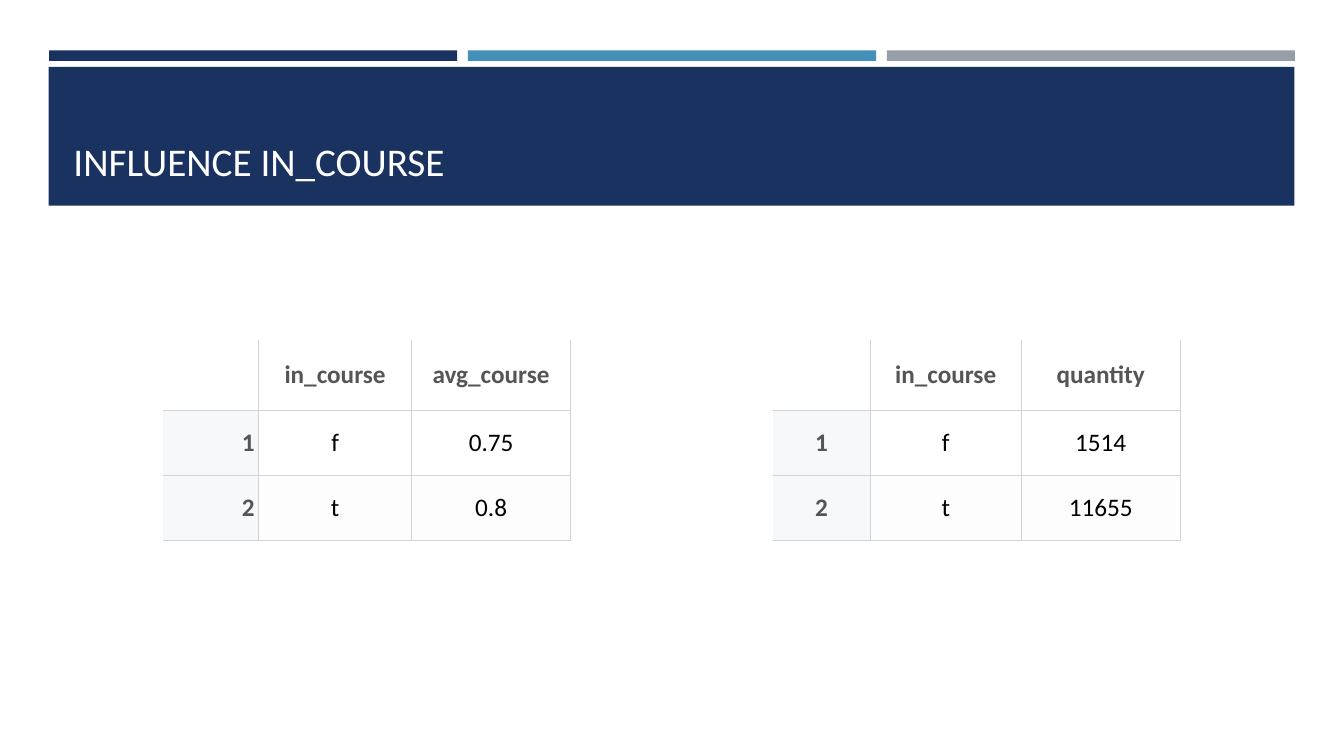
from lxml import etree
from pptx import Presentation
from pptx.dml.color import RGBColor
from pptx.enum import shapes, text
from pptx.oxml.ns import qn
from pptx.util import Pt

NAVY = RGBColor(0x1A, 0x32, 0x60)
BLUE = RGBColor(0x45, 0x90, 0xB8)
GREY = RGBColor(0x96, 0x9F, 0xA7)
WHITE = RGBColor(0xFF, 0xFF, 0xFF)
BLACK = RGBColor(0, 0, 0)
LABEL = RGBColor(0x55, 0x55, 0x55)
INDEX_FILL = RGBColor(0xF7, 0xF8, 0xF9)
BAND_FILL = RGBColor(0xFD, 0xFD, 0xFD)
GRID = RGBColor(0xCF, 0xD4, 0xD8)
LEFT, CENTER, RIGHT = text.PP_ALIGN.LEFT, text.PP_ALIGN.CENTER, text.PP_ALIGN.RIGHT


class Deck:
    font = "Calibri"

    def __init__(self, prs):
        self.s = prs.slides.add_slide(prs.slide_layouts[6])

    def style(self, tf, size, color, bold=False, align=LEFT):
        for p in tf.paragraphs:
            p.alignment = align
            for r in p.runs:
                f = r.font
                f.name, f.size, f.bold = self.font, Pt(size), bold
                f.color.rgb = color

    def bar(self, x, y, w, h, color):
        sp = self.s.shapes.add_shape(shapes.MSO_SHAPE.RECTANGLE, Pt(x), Pt(y), Pt(w), Pt(h))
        sp.shadow.inherit = False
        sp.fill.solid()
        sp.fill.fore_color.rgb = color
        sp.line.fill.background()

    def title(self, x, y, w, h, words):
        tf = self.s.shapes.add_textbox(Pt(x), Pt(y), Pt(w), Pt(h)).text_frame
        tf.word_wrap = True
        tf.vertical_anchor = text.MSO_ANCHOR.BOTTOM
        tf.text = words
        self.style(tf, 28, WHITE)

    def borders(self, cell, widths):
        """Widths run left, right, top, bottom; zero means no line."""
        tcPr = cell._tc.get_or_add_tcPr()
        for i, (side, width) in enumerate(zip("LRTB", widths)):
            ln = etree.Element(qn("a:ln" + side), w=str(Pt(width)))
            if width:
                fill = etree.SubElement(ln, qn("a:solidFill"))
                etree.SubElement(fill, qn("a:srgbClr"), val=str(GRID))
            else:
                etree.SubElement(ln, qn("a:noFill"))
            tcPr.insert(i, ln)

    def table(self, x, y, cols, rows, data, index_align):
        tb = self.s.shapes.add_table(len(rows), len(cols), Pt(x), Pt(y),
                                     Pt(sum(cols)), Pt(sum(rows))).table
        for col, w in zip(tb.columns, cols):
            col.width = Pt(w)
        for row, h in zip(tb.rows, rows):
            row.height = Pt(h)
        for i, values in enumerate(data):
            for j, value in enumerate(values):
                cell = tb.cell(i, j)
                label = i == 0 or j == 0
                cell.text_frame.text = value
                cell.vertical_anchor = text.MSO_ANCHOR.MIDDLE
                cell.margin_left = cell.margin_right = Pt(3)
                cell.margin_top = cell.margin_bottom = Pt(2 if i else 4)
                self.style(cell.text_frame, 18, LABEL if label else BLACK, label,
                           index_align if i and j == 0 else CENTER)
                if i == 0:
                    cell.fill.background()
                else:
                    cell.fill.solid()
                    cell.fill.fore_color.rgb = (
                        INDEX_FILL if j == 0 else WHITE if i == 1 else BAND_FILL)
                self.borders(cell, (0.6 if j else 0, 0.6,
                                    (0, 1, 0.6)[i], 0.6 if i else 1))


prs = Presentation()
prs.slide_width, prs.slide_height = Pt(960), Pt(540)
deck = Deck(prs)

# Top stripes and title band
for n, color in enumerate((NAVY, BLUE, GREY)):
    deck.bar(35 + n * 299.2, 36, 291.6, 7.6, color)
deck.bar(34.8, 47.8, 889.7, 99.2, NAVY)
deck.title(45.4, 57.6, 868.3, 77.8, "INFLUENCE IN_COURSE")

# Result tables
ROWS = (50.4, 46.4, 46.4)
deck.table(116.5, 242.8, (68.3, 109.2, 113.6), ROWS,
           (("", "in_course", "avg_course"), ("1", "f", "0.75"), ("2", "t", "0.8")), RIGHT)
deck.table(552.2, 242.8, (69.4, 107.9, 113.6), ROWS,
           (("", "in_course", "quantity"), ("1", "f", "1514"), ("2", "t", "11655")), CENTER)

prs.save("out.pptx")
